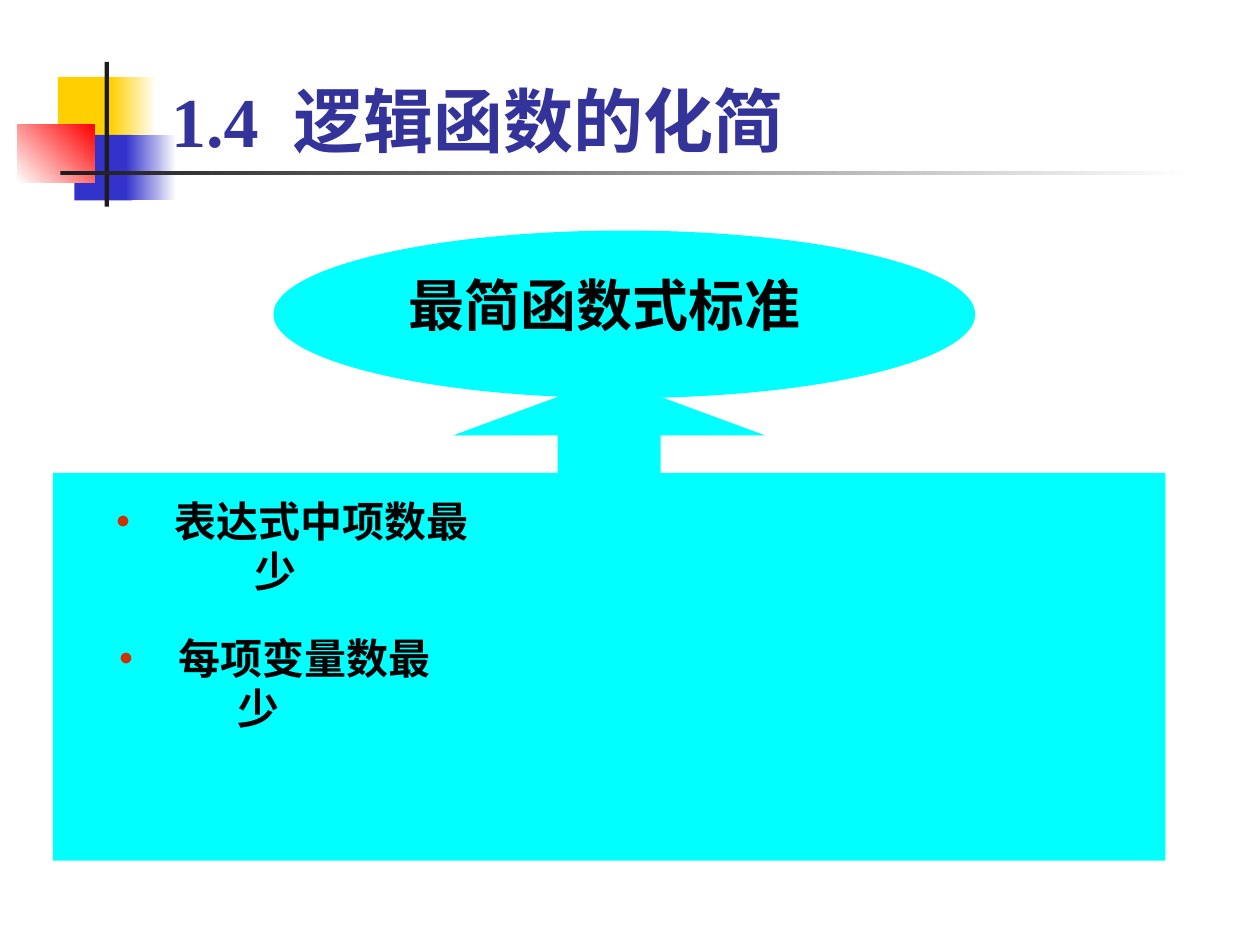
from pptx import Presentation
from pptx.dml.color import RGBColor
from pptx.enum.shapes import MSO_SHAPE
from pptx.enum.text import MSO_ANCHOR, PP_ALIGN
from pptx.util import Inches, Pt

RECT = MSO_SHAPE.RECTANGLE
OVAL = MSO_SHAPE.OVAL
UP_CALLOUT = MSO_SHAPE.UP_ARROW_CALLOUT
MIDDLE, BOTTOM = MSO_ANCHOR.MIDDLE, MSO_ANCHOR.BOTTOM
LEFT, CENTER = PP_ALIGN.LEFT, PP_ALIGN.CENTER

WIDTH, HEIGHT = Inches(10), Inches(7.5)
COLUMNS, ROWS = 100, 75
FONT = "Times New Roman"
COLORS = {
    "white": "FFFFFF", "black": "000000", "ink": "1C1C1C",
    "yellow": "FFCF01", "blue": "3333CC", "red": "FF0000",
    "cyan": "00FFFF", "title": "333399", "bullet": "CC3300",
}


def rgb(name):
    return RGBColor.from_string(COLORS[name])


def write(shape, runs, size, align=CENTER, anchor=MIDDLE):
    frame = shape.text_frame
    frame.word_wrap = True
    frame.vertical_anchor = anchor
    paragraph = frame.paragraphs[0]
    paragraph.alignment = align
    for text, color, spacing in runs:
        run = paragraph.add_run()
        run.text = text
        run.font.name = FONT
        run.font.size = Pt(size)
        run.font.bold = True
        run.font.color.rgb = rgb(color)
        if spacing:
            run.font._element.set("spc", str(spacing * 100))


class Board:
    def __init__(self, slide):
        self.slide = slide

    def place(self, column, row, columns, rows):
        return (round(WIDTH * column / COLUMNS), round(HEIGHT * row / ROWS),
                round(WIDTH * columns / COLUMNS), round(HEIGHT * rows / ROWS))

    def shape(self, kind, area, color):
        shape = self.slide.shapes.add_shape(kind, *self.place(*area))
        shape.shadow.inherit = False
        shape.line.fill.background()
        shape.fill.solid()
        shape.fill.fore_color.rgb = rgb(color)
        return shape

    def fade(self, area, start, end, angle=0):
        shape = self.shape(RECT, area, start)
        shape.fill.gradient()
        shape.fill.gradient_angle = angle
        for stop, color in zip(shape.fill.gradient_stops, (start, end)):
            stop.color.rgb = rgb(color)

    def text(self, area, runs, size, **style):
        box = self.slide.shapes.add_textbox(*self.place(*area))
        write(box, runs, size, **style)

    def group(self, *members):
        self.slide.shapes.add_group_shape(shapes=members)


def main():
    deck = Presentation()
    deck.slide_width, deck.slide_height = WIDTH, HEIGHT
    board = Board(deck.slides.add_slide(deck.slide_layouts[6]))

    board.shape(RECT, (4.6, 6.1, 4.8, 5.2), "yellow")
    board.fade((8.8, 6.1, 3.6, 5.2), "yellow", "white")
    board.shape(RECT, (5.9, 10.7, 4.6, 5.2), "blue")
    board.fade((10, 10.7, 4, 5.2), "blue", "white")
    board.fade((1.4, 9.9, 6.1, 4.6), "white", "red", angle=45)
    board.shape(RECT, (8.3, 4.9, 0.35, 11.5), "ink")
    board.fade((4.8, 13.6, 90, 0.3), "ink", "white")

    board.text((12.6, 0.8, 85.2, 12.5),
               [("1.4", "title", 0), (" ", "title", 10),
                ("逻辑函数的化简", "title", 0)],
               40, align=LEFT, anchor=BOTTOM)

    goal = board.shape(OVAL, (21.7, 18.3, 55.7, 13.3), "cyan")
    goal_label = board.shape(RECT, (30.9, 21, 34.2, 6.3), "cyan")
    write(goal_label, [("最简函数式标准", "black", 0)], 32)
    board.group(goal, goal_label)

    criteria = board.shape(UP_CALLOUT, (4.2, 30, 88.3, 38.3), "cyan")
    for index, share in enumerate((0.213, 0.323, 0.119, 0.803)):
        criteria.adjustments[index] = share

    for area, criterion in (
        ((5.4, 40.8, 32.9, 5), "表达式中项数最少"),
        ((5.8, 51.7, 29.4, 5), "每项变量数最少"),
    ):
        board.text(area, [(" • ", "bullet", 6), (criterion, "black", 0)], 24)

    deck.save("out.pptx")


if __name__ == "__main__":
    main()
